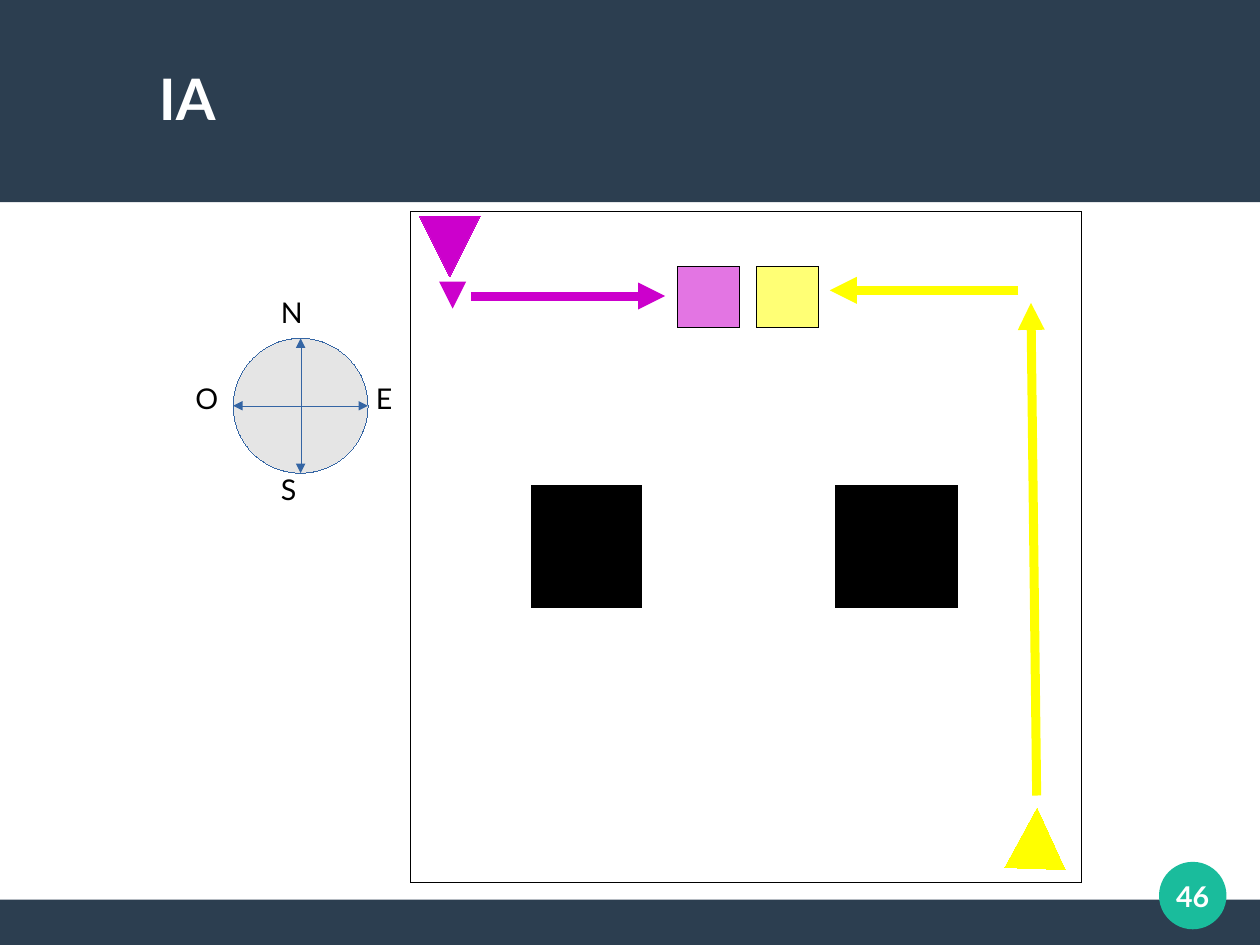
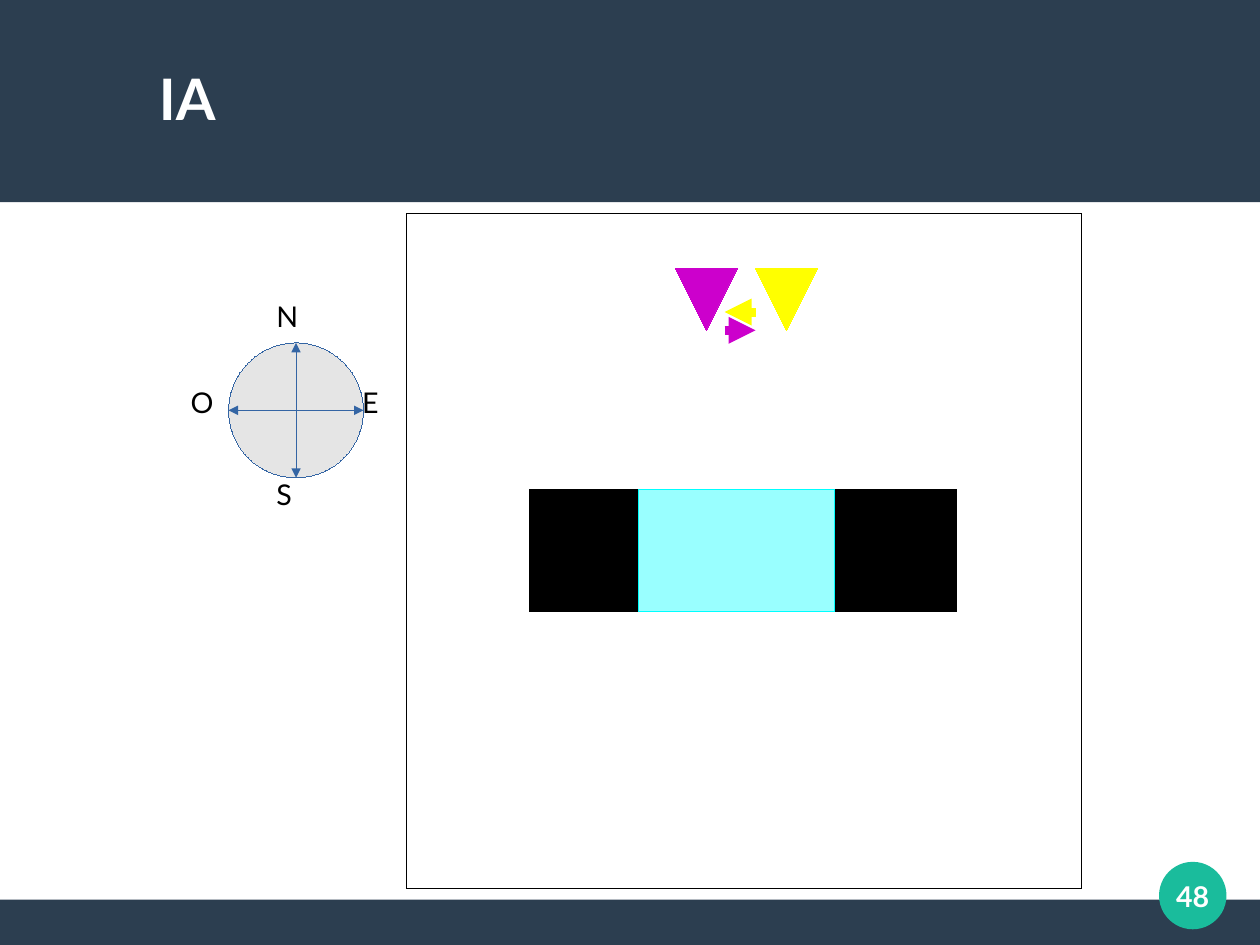
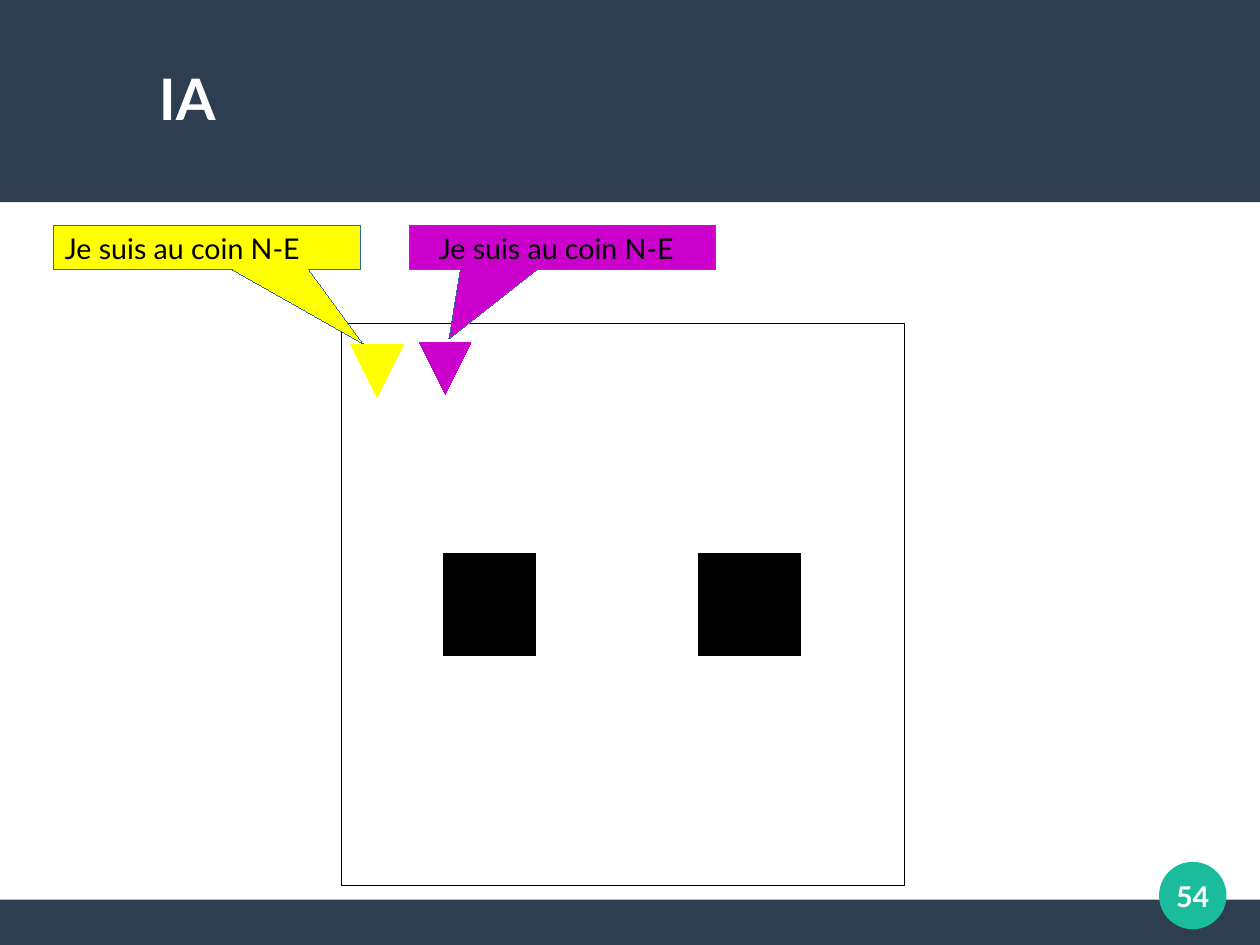
from lxml.etree import SubElement
from pptx import Presentation
from pptx.dml.color import RGBColor
from pptx.enum.shapes import MSO_CONNECTOR, MSO_SHAPE
from pptx.enum.text import MSO_ANCHOR, MSO_AUTO_SIZE, PP_ALIGN
from pptx.oxml.ns import qn
from pptx.util import Inches, Pt

NAVY = RGBColor(0x2C, 0x3E, 0x50)
TEAL = RGBColor(0x1A, 0xBC, 0x9C)
WHITE = RGBColor(0xFF, 0xFF, 0xFF)
BLACK = RGBColor(0x00, 0x00, 0x00)
MAGENTA = RGBColor(0xCC, 0x00, 0xCC)
YELLOW = RGBColor(0xFF, 0xFF, 0x00)
GREY = RGBColor(0xDD, 0xDD, 0xDD)
BLUE = RGBColor(0x34, 0x65, 0xA4)
PALE_CYAN = RGBColor(0x99, 0xFF, 0xFF)
CYAN = RGBColor(0x00, 0xFF, 0xFF)

FONT = "Lato"
WIDTH, HEIGHT = 28 / 2.54, 21 / 2.54
ROOM_SIZE = 5.9
PILLARS = ((1.07, 2.41, 0.96, 1.07), (3.74, 2.41, 1.07, 1.07))
ARROW_WIDTH = 5.67


def write(frame, text, size=18, color=BLACK, bold=False, align=PP_ALIGN.LEFT,
          anchor=MSO_ANCHOR.TOP, margins=(0.1, 0.05), indent=0,
          auto_size=MSO_AUTO_SIZE.NONE):
    """Fill a text frame with one formatted paragraph."""
    frame.word_wrap = True
    frame.auto_size = auto_size
    frame.vertical_anchor = anchor
    frame.margin_left = frame.margin_right = Inches(margins[0])
    frame.margin_top = frame.margin_bottom = Inches(margins[1])
    paragraph = frame.paragraphs[0]
    paragraph.alignment = align
    if indent:
        properties = paragraph._p.get_or_add_pPr()
        properties.set("marL", str(Inches(indent)))
        properties.set("indent", "0")
    run = paragraph.add_run()
    run.text = text
    run.font.name = FONT
    run.font.size = Pt(size)
    run.font.bold = bold
    run.font.color.rgb = color


def stroke(line, color, width=0):
    """Colour a line, write its width even when zero and return its XML."""
    line.color.rgb = color
    outline = line._get_or_add_ln()
    outline.set("w", str(Pt(width)))
    return outline


class Deck:
    """Hold the shared style and the slide being drawn."""

    def __init__(self):
        """Open a presentation whose layout awaits its bands."""
        self.presentation = Presentation()
        self.presentation.slide_width = Inches(WIDTH)
        self.presentation.slide_height = Inches(HEIGHT)
        self.layout = self.presentation.slide_layouts[5]
        self.slide = None

    def decorate_layout(self):
        """Move the bands and the number disc to the layout."""
        for placeholder in list(self.layout.placeholders):
            if placeholder.placeholder_format.idx:
                placeholder._element.getparent().remove(placeholder._element)
        decor = (
            self.shape(MSO_SHAPE.RECTANGLE, 0, 7.87, WIDTH, HEIGHT - 7.87, NAVY),
            self.shape(MSO_SHAPE.RECTANGLE, 0, 0, WIDTH, 1.77, NAVY),
            self.shape(MSO_SHAPE.OVAL, 10.14, 7.54, 0.59, 0.59, TEAL),
        )
        for position, part in enumerate(decor, 2):
            self.layout.shapes._spTree.insert(position, part._element)

    def new_slide(self, title, number):
        """Start a slide with its title and number."""
        self.slide = self.presentation.slides.add_slide(self.layout)
        if len(self.presentation.slides) == 1:
            self.decorate_layout()
        heading = self.slide.shapes.title
        heading.left, heading.top = Inches(0.39), Inches(0.33)
        heading.width, heading.height = Inches(10.24), Inches(1.05)
        write(heading.text_frame, title, size=36, color=WHITE, bold=True,
              anchor=MSO_ANCHOR.MIDDLE, margins=(0, 0), indent=1)
        self.text(str(number), 10.04, 7.44, 0.79, 0.79, color=WHITE, bold=True,
                  align=PP_ALIGN.CENTER, anchor=MSO_ANCHOR.MIDDLE, margins=(0, 0))

    def text(self, content, left, top, width, height, **style):
        """Add a text box."""
        box = self.slide.shapes.add_textbox(
            Inches(left), Inches(top), Inches(width), Inches(height))
        write(box.text_frame, content, **style)

    def shape(self, kind, left, top, width, height, fill=None, outline=None,
              opacity=100, rotation=0):
        """Add a preset shape with a hairline or no outline."""
        shape = self.slide.shapes.add_shape(
            kind, Inches(left), Inches(top), Inches(width), Inches(height))
        shape.shadow.inherit = False
        shape.rotation = rotation
        if fill is None:
            shape.fill.background()
        else:
            shape.fill.solid()
            shape.fill.fore_color.rgb = fill
            if opacity < 100:
                color = shape._element.spPr.find(qn("a:solidFill"))[0]
                SubElement(color, qn("a:alpha"), val=str(opacity * 1000))
        if outline is None:
            shape.line.fill.background()
        else:
            stroke(shape.line, outline)
        return shape

    def arrow(self, start, end, color, width=ARROW_WIDTH, both_ends=False):
        """Add a straight arrow between two points."""
        arrow = self.slide.shapes.add_connector(
            MSO_CONNECTOR.STRAIGHT, *(Inches(value) for value in (*start, *end)))
        outline = stroke(arrow.line, color, width)
        if both_ends:
            SubElement(outline, qn("a:headEnd"), type="triangle")
        SubElement(outline, qn("a:tailEnd"), type="triangle")
        SubElement(arrow._element.spPr, qn("a:effectLst"))

    def room(self, left, top, size):
        """Draw a square room with its two pillars in proportion."""
        self.shape(MSO_SHAPE.RECTANGLE, left, top, size, size, outline=BLACK)
        scale = size / ROOM_SIZE
        for x, y, width, height in PILLARS:
            self.shape(MSO_SHAPE.RECTANGLE, left + x * scale, top + y * scale,
                       width * scale, height * scale, BLACK, BLACK)

    def robot(self, left, top, size, color, rotation=180):
        """Draw a robot as a triangle pointing where it faces."""
        self.shape(MSO_SHAPE.ISOSCELES_TRIANGLE, left, top, size, size,
                   color, color, rotation=rotation)

    def target(self, left, top, color):
        """Draw a translucent square that a robot is heading for."""
        self.shape(MSO_SHAPE.RECTANGLE, left, top, 0.54, 0.54, color, BLACK, opacity=54)

    def compass(self, x, y, east_offset):
        """Draw a compass centred on a point."""
        radius = 0.59
        self.shape(MSO_SHAPE.OVAL, x - radius, y - radius, 2 * radius, 2 * radius,
                   GREY, BLUE, opacity=76)
        for dx, dy in ((0, -radius), (radius, 0)):
            self.arrow((x - dx, y - dy), (x + dx, y + dy), BLUE, width=0, both_ends=True)
        for letter, dx, dy in (("N", -0.27, -1.02), ("E", east_offset, -0.27),
                               ("O", -1.02, -0.27), ("S", -0.27, 0.53)):
            self.text(letter, x + dx, y + dy, 0.48, 0.53,
                      auto_size=MSO_AUTO_SIZE.SHAPE_TO_FIT_TEXT)

    def speech(self, message, left, color, tip, margin):
        """Draw a speech callout above the room."""
        bubble = self.shape(MSO_SHAPE.RECTANGULAR_CALLOUT, left, 1.97, 2.68, 0.39,
                            color, BLUE)
        bubble.adjustments[0], bubble.adjustments[1] = tip
        write(bubble.text_frame, message, margins=(margin, 0.05))


def draw_approach(deck):
    """Show both robots heading for the middle of the north wall."""
    deck.new_slide("IA", 46)
    deck.room(3.59, 1.85, 5.87)
    deck.robot(3.67, 1.89, 0.53, MAGENTA)
    deck.robot(8.8, 7.07, 0.53, YELLOW, rotation=2)
    deck.compass(2.63, 3.55, 0.56)
    deck.arrow((3.96, 2.49), (3.96, 2.7), MAGENTA)
    deck.arrow((9.07, 6.96), (9.02, 2.65), YELLOW)
    deck.arrow((8.91, 2.54), (7.26, 2.54), YELLOW)
    deck.target(6.62, 2.33, YELLOW)
    deck.target(5.93, 2.33, MAGENTA)
    deck.arrow((4.12, 2.59), (5.82, 2.59), MAGENTA)


def draw_meeting(deck):
    """Show the robots side by side and the zone between pillars."""
    deck.new_slide("IA", 48)
    deck.room(3.56, 1.87, ROOM_SIZE)
    deck.robot(5.91, 2.35, 0.54, MAGENTA)
    deck.robot(6.61, 2.35, 0.54, YELLOW)
    deck.compass(2.59, 3.59, 0.48)
    deck.shape(MSO_SHAPE.RECTANGLE, 5.59, 4.28, 1.71, 1.07, PALE_CYAN, CYAN)
    deck.arrow((6.61, 2.73), (6.34, 2.73), YELLOW)
    deck.arrow((6.34, 2.89), (6.61, 2.89), MAGENTA)


def draw_corner(deck):
    """Show both robots announcing their corner."""
    deck.new_slide("IA", 54)
    deck.room(2.99, 2.83, 4.92)
    deck.robot(3.67, 3, 0.45, MAGENTA)
    deck.robot(3.07, 3.01, 0.46, YELLOW)
    message = "Je suis au coin N-E"
    deck.speech(message, 3.58, MAGENTA, (-0.37, 2.05), 0.26)
    deck.speech(message, 0.47, YELLOW, (0.51, 2.16), 0.1)


def main():
    """Build and save the presentation."""
    deck = Deck()
    for draw in (draw_approach, draw_meeting, draw_corner):
        draw(deck)
    deck.presentation.save("out.pptx")


if __name__ == "__main__":
    main()
